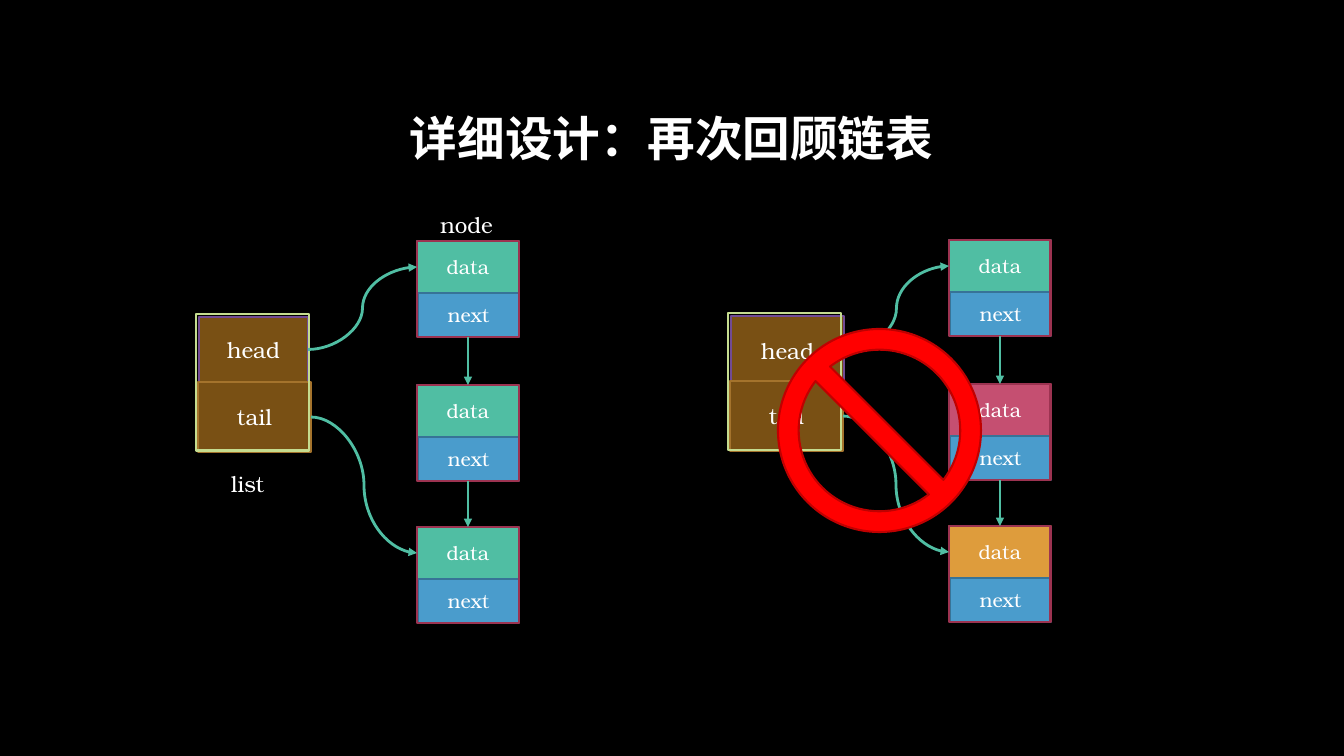
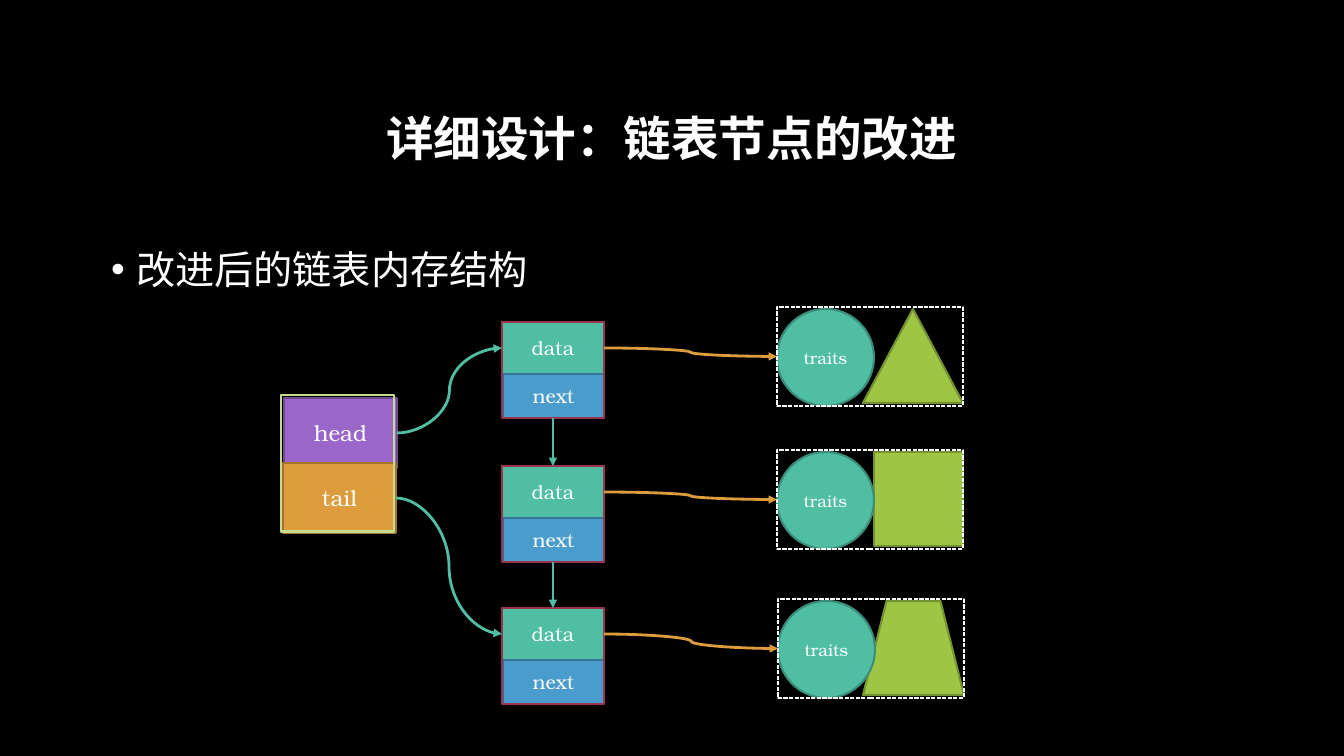
from lxml import etree
from pptx import Presentation
from pptx import util as u
from pptx.dml.color import RGBColor
from pptx.enum import dml, shapes, text
from pptx.oxml.ns import qn

PX = 9525 * 20 / 21  # 100.8 px to the inch
SERIF = "TeX Gyre Bonum"
WHITE, TEAL, BLUE, ORANGE = "FFFFFF", "50BEA3", "4A9CCC", "DE9C3C"
BROWN, PURPLE, ROSE, LIME = "795014", "9A66CA", "C54F71", "9EC544"
EDGES = {TEAL: "3B8D79", BLUE: "377397", ORANGE: "A4732C", ROSE: "923A54", LIME: "759232"}
SHAPE, LINK = shapes.MSO_SHAPE, shapes.MSO_CONNECTOR
TOP, LEFT, BOTTOM, RIGHT = range(4)
color = RGBColor.from_string


def write(box, words, size, font=SERIF, bold=False, align=text.PP_ALIGN.CENTER,
          anchor=text.MSO_ANCHOR.MIDDLE):
    frame = box.text_frame
    frame.word_wrap = True
    frame.vertical_anchor = anchor
    para = frame.paragraphs[0]
    para.alignment = align
    span = para.add_run()
    span.text = words
    for name, value in {"size": u.Pt(size), "name": font, "bold": bold}.items():
        setattr(span.font, name, value)
    span.font.color.rgb = color(WHITE)
    return para


def add_box(page, kind, place, fill, edge, width=1.5, words="", size=14):
    box = page.shapes.add_shape(kind, *(int(n * PX) for n in place))
    box.shadow.inherit = False
    if fill:
        box.fill.solid()
        box.fill.fore_color.rgb = color(fill)
    else:
        box.fill.background()
    box.line.color.rgb = color(edge)
    box.line.width = u.Pt(width)
    if words:
        write(box, words, size)
    return box


# Deck, shared background and titles
deck = Presentation()
deck.slide_width, deck.slide_height = int(1344 * PX), int(756 * PX)
background = deck.slide_master.background.fill
background.solid()
background.fore_color.rgb = color("000000")

pages = []
for layout, title in ((5, "详细设计：再次回顾链表"), (1, "详细设计：链表节点的改进")):
    page = deck.slides.add_slide(deck.slide_layouts[layout])
    box = page.shapes.title
    box.left, box.top, box.width, box.height = (int(n * PX) for n in (101, 68, 1141, 146))
    write(box, title, 34, bold=True).line_spacing = 0.9
    pages.append(page)
review, improved = pages

# Bullet of the second slide
body = improved.placeholders[1]
body.left, body.top, body.width, body.height = (int(n * PX) for n in (101, 231, 1141, 407))
para = write(body, "改进后的链表内存结构", 28, "Courier New",
             align=text.PP_ALIGN.LEFT, anchor=text.MSO_ANCHOR.TOP)
para.line_spacing = 1.2
para.space_before = u.Pt(0)
props = para._p.get_or_add_pPr()
props.set("marL", str(u.Inches(0.25)))
props.set("indent", str(-u.Inches(0.25)))
etree.SubElement(props, qn("a:buChar")).set("char", "•")

# Linked lists: page, left, top, head size, head and tail fills, data fills
linked_lists = [
    (review, 196, 314, (109, 65), BROWN, BROWN, (TEAL, TEAL, TEAL)),
    (review, 728, 313, (113, 70), BROWN, BROWN, (TEAL, ROSE, ORANGE)),
    (improved, 281, 395, (113, 70), PURPLE, ORANGE, (TEAL, TEAL, TEAL)),
]
arrows = []
for page, left, top, head_size, head_fill, tail_fill, data_fills in linked_lists:
    head = add_box(page, SHAPE.RECTANGLE, (left + 3, top + 3, *head_size),
                   head_fill, "724B95", words="head", size=16)
    tail = add_box(page, SHAPE.RECTANGLE, (left + 2, top + 68, 113, 70),
                   tail_fill, EDGES[ORANGE], words="tail", size=16)
    add_box(page, SHAPE.RECTANGLE, (left, top, 113, 137), None, "C5DC8F", 2)

    cells, nodes = [], []
    for drop, data_fill in zip((-73, 71, 213), data_fills):
        x, y = left + 221, top + drop
        cells.append(add_box(page, SHAPE.RECTANGLE, (x, y, 102, 52), data_fill,
                             EDGES[data_fill], words="data"))
        add_box(page, SHAPE.RECTANGLE, (x + 1, y + 52, 101, 44), BLUE, EDGES[BLUE], words="next")
        nodes.append(add_box(page, SHAPE.RECTANGLE, (x, y, 102, 96), None, "9C3351", 2))

    arrows += [(page, LINK.STRAIGHT, upper, BOTTOM, lower, TOP, TEAL)
               for upper, lower in zip(nodes, nodes[1:])]
    arrows += [(page, LINK.CURVE, head, RIGHT, cells[0], LEFT, TEAL),
               (page, LINK.CURVE, tail, RIGHT, cells[2], LEFT, TEAL)]

# Traits and figures that the improved nodes point to
figures = [
    (777, 307, SHAPE.ISOSCELES_TRIANGLE, 86, 100),
    (777, 450, SHAPE.RECTANGLE, 97, 89),
    (778, 599, SHAPE.TRAPEZOID, 85, 101),
]
for cell, (x, y, kind, shift, width) in zip(cells, figures):
    add_box(improved, kind, (x + shift, y + 2, width, 94), LIME, EDGES[LIME])
    add_box(improved, SHAPE.OVAL, (x, y + 2, 97, 97), TEAL, EDGES[TEAL], words="traits", size=12)
    target = add_box(improved, SHAPE.RECTANGLE, (x, y, 186, 99), None, WHITE, 1)
    target.line.dash_style = dml.MSO_LINE.SQUARE_DOT
    arrows.append((improved, LINK.CURVE, cell, RIGHT, target, LEFT, ORANGE))

# Arrows
for page, kind, source, source_side, target, target_side, stroke in arrows:
    arrow = page.shapes.add_connector(kind, 0, 0, 0, 0)
    arrow.begin_connect(source, source_side)
    arrow.end_connect(target, target_side)
    arrow.line.color.rgb = color(stroke)
    arrow.line.width = u.Pt(2)
    etree.SubElement(arrow.line._get_or_add_ln(), qn("a:tailEnd")).set("type", "triangle")
    etree.SubElement(arrow._element.spPr, qn("a:effectLst"))

# Forbidden sign and labels of the first slide
sign = add_box(review, SHAPE.NO_SYMBOL, (778, 329, 203, 203), "FF0000", "C00000")
sign.adjustments[0] = 0.102
for words, x, y in (("list", 191, 464), ("node", 410, 205)):
    label = review.shapes.add_textbox(*(int(n * PX) for n in (x, y, 113, 40)))
    write(label, words, 16)

deck.save("out.pptx")
